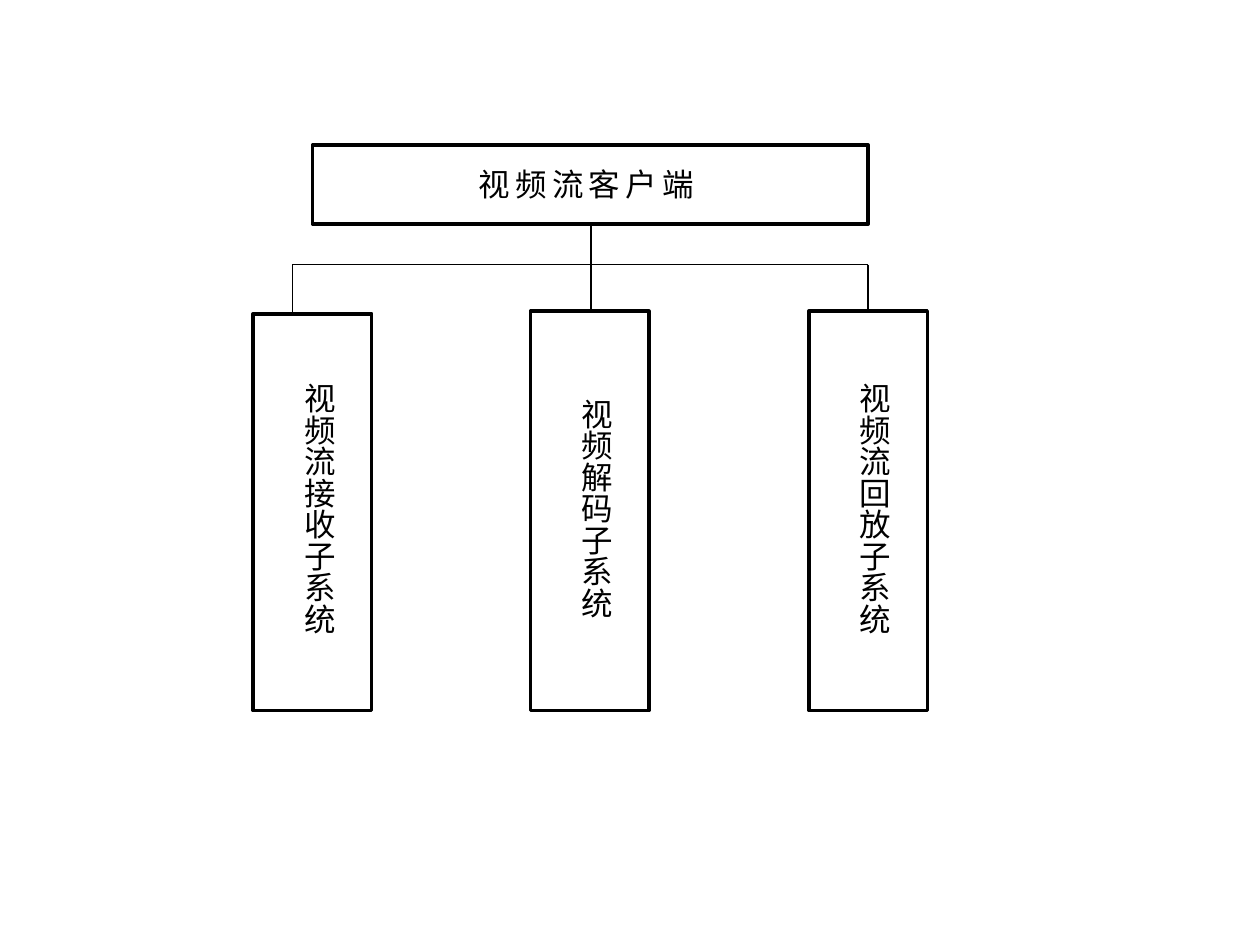
from lxml import etree
from pptx import Presentation
from pptx.dml.color import RGBColor
from pptx.enum.shapes import MSO_CONNECTOR, MSO_SHAPE
from pptx.enum.text import MSO_AUTO_SIZE, PP_ALIGN
from pptx.oxml.ns import qn
from pptx.util import Inches, Pt

COLORS = {"ink": "000000", "paper": "FFFFFF"}
INK = RGBColor.from_string(COLORS["ink"])
FONT = "Calibri"

# Client box: left, top, width, height
CLIENT_BOX = (2.48, 1.15, 4.41, 0.63)
# Subsystem: label, box left, box top, branch x
SUBSYSTEMS = [
    ("视频流接收子系统", 2.01, 2.49, 2.32),
    ("视频解码子系统", 4.21, 2.47, 4.69),
    ("视频流回放子系统", 6.42, 2.47, 6.89),
]
BOX_W, BOX_BOTTOM = 0.94, 5.64
TRUNK_X, BUS_Y = 4.69, 2.1


def add_box(s, left, top, width, height):
    sp = s.shapes.add_shape(MSO_SHAPE.RECTANGLE, Inches(left), Inches(top),
                            Inches(width), Inches(height))
    sp.shadow.inherit = False
    sp.fill.background()
    sp.line.color.rgb = INK
    sp.line.width = Pt(2)


def add_label(s, text, left, top, width, height, vertical=False, spacing=0):
    tb = s.shapes.add_textbox(Inches(left), Inches(top), Inches(width), Inches(height))
    tf = tb.text_frame
    tf.word_wrap = False
    tf.auto_size = MSO_AUTO_SIZE.SHAPE_TO_FIT_TEXT
    tf.text = text
    p = tf.paragraphs[0]
    r = p.runs[0]
    r.font.size = Pt(18)
    r.font.name = FONT
    r.font.color.rgb = INK
    if vertical:
        p.alignment = PP_ALIGN.CENTER
        tf._txBody.bodyPr.set("vert", "eaVert")
    if spacing:
        r._r.get_or_add_rPr().set("spc", str(spacing * 100))


def add_line(s, x1, y1, x2, y2):
    line = s.shapes.add_connector(MSO_CONNECTOR.STRAIGHT, Inches(x1), Inches(y1),
                                  Inches(x2), Inches(y2))
    line.line.color.rgb = INK
    line.line.width = Pt(0.75)
    etree.SubElement(line._element.spPr, qn("a:effectLst"))


def add_client(s, left, top, width, height):
    add_box(s, left, top, width, height)
    add_label(s, "视频流客户端", left + 1.22, top + 0.11, 1.97, 0.4, spacing=3)
    add_line(s, TRUNK_X, top + height, TRUNK_X, BUS_Y)


def add_subsystem(s, text, left, top, branch_x):
    add_box(s, left, top, BOX_W, BOX_BOTTOM - top)
    # Label length follows the number of characters
    length = 0.25 * len(text) + 0.12
    add_label(s, text, left + 0.22, 4 - length / 2, 0.5, length, vertical=True)
    add_line(s, branch_x, BUS_Y, branch_x, top)


prs = Presentation()
prs.slide_width, prs.slide_height = Inches(10), Inches(7.5)
s = prs.slides.add_slide(prs.slide_layouts[6])
s.background.fill.solid()
s.background.fill.fore_color.rgb = RGBColor.from_string(COLORS["paper"])

add_client(s, *CLIENT_BOX)
for subsystem in SUBSYSTEMS:
    add_subsystem(s, *subsystem)
# Horizontal bus joining the branches
add_line(s, SUBSYSTEMS[0][3], BUS_Y, SUBSYSTEMS[-1][3], BUS_Y)

prs.save("out.pptx")
